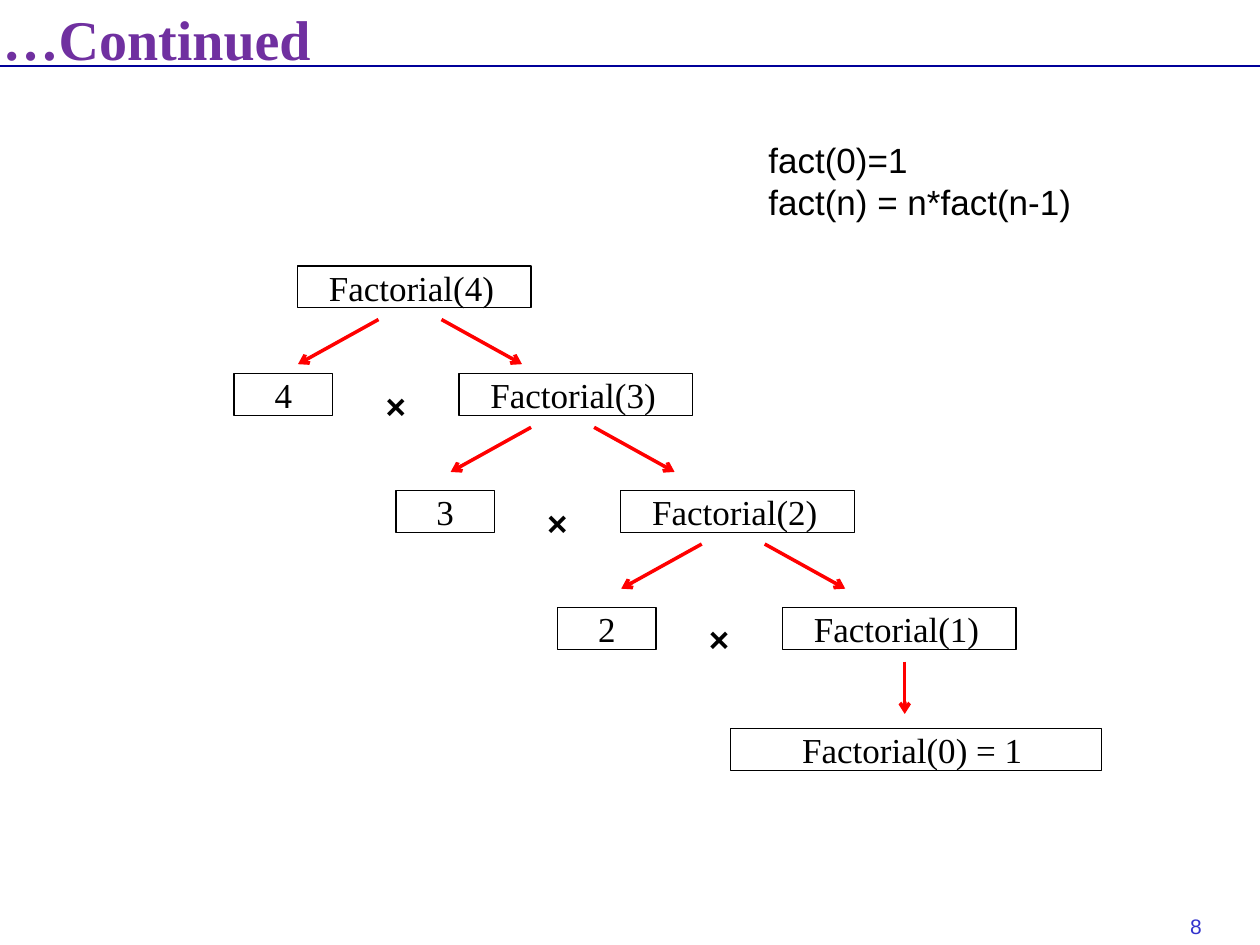
from lxml import etree
from pptx import Presentation
from pptx.dml.color import RGBColor
from pptx.enum import shapes, text
from pptx.oxml import ns
from pptx.util import Pt

COLORS = {
    "title": "7030A0",
    "rule": "000099",
    "number": "3333CC",
    "ink": "000000",
    "arrow": "FF0000",
}
SERIF = "Times New Roman"
SANS = "Arial"
BOX_HEIGHT = 23.9
CALL_WIDTH = 133.5
FACTOR_WIDTH = 56.2
FIRST_CALL_LEFT = 169.9
CALL_STEP = 92.4


def color(name):
    return RGBColor.from_string(COLORS[name])


def fill_frame(frame, lines, size, font, ink="ink", bold=False,
               align=text.PP_ALIGN.LEFT, insets=(0, 0, 0, 0), wrap=True):
    frame.auto_size = text.MSO_AUTO_SIZE.NONE
    frame.word_wrap = wrap
    frame.vertical_anchor = text.MSO_ANCHOR.TOP
    (frame.margin_left, frame.margin_top,
     frame.margin_right, frame.margin_bottom) = [Pt(inset) for inset in insets]
    for index, line in enumerate(lines):
        para = frame.add_paragraph() if index else frame.paragraphs[0]
        para.alignment = align
        span = para.add_run()
        span.text = line
        span.font.size = Pt(size)
        span.font.name = font
        span.font.bold = bold
        span.font.color.rgb = color(ink)


def add_title(page, title_text):
    title = page.shapes.title
    title.left, title.top = Pt(1.5), Pt(-12.2)
    title.width, title.height = Pt(361.4), Pt(53.3)
    fill_frame(title.text_frame, [title_text], 32, SERIF, "title", bold=True,
               insets=(0, 14.4, 0, 0))
    title.text_frame.vertical_anchor = text.MSO_ANCHOR.MIDDLE


def add_label(page, left, top, width, height, lines, size, **style):
    label = page.shapes.add_textbox(Pt(left), Pt(top), Pt(width), Pt(height))
    fill_frame(label.text_frame, lines, size, SANS, **style)


def add_box(page, left, top, width, content, indent=None):
    box = page.shapes.add_shape(shapes.MSO_SHAPE.RECTANGLE, Pt(left), Pt(top),
                                Pt(width), Pt(BOX_HEIGHT))
    box.shadow.inherit = False
    box.fill.background()
    box.line.color.rgb = color("ink")
    box.line.width = Pt(0.75)
    align = text.PP_ALIGN.CENTER if indent is None else text.PP_ALIGN.LEFT
    fill_frame(box.text_frame, [content], 20, SERIF, align=align,
               insets=(indent or 0, 0, 0, 0))


def add_line(page, start, end, ink, width, arrow=False):
    line = page.shapes.add_connector(shapes.MSO_CONNECTOR.STRAIGHT,
                                     *[Pt(value) for value in start + end])
    line.line.color.rgb = color(ink)
    line.line.width = Pt(width)
    if arrow:
        etree.SubElement(line.line._get_or_add_ln(), ns.qn("a:tailEnd"),
                         type="arrow", w="med", len="med")
    etree.SubElement(line._element.spPr, ns.qn("a:effectLst"))


def add_call(page, level, top, value):
    left = FIRST_CALL_LEFT + CALL_STEP * level
    add_box(page, left, top, CALL_WIDTH, f"Factorial({value})", indent=18)
    if level:
        add_box(page, left - 128.5, top, FACTOR_WIDTH, str(value + 1))
        add_label(page, left - 42, top + 6, 13, BOX_HEIGHT, ["×"], 20,
                  bold=True, wrap=False)


def add_branches(page, left, top):
    right = left + 128
    bottom = top + 25.5
    add_line(page, (left + 46, top), (left, bottom), "arrow", 2, arrow=True)
    add_line(page, (right - 46, top), (right, bottom), "arrow", 2, arrow=True)


def main():
    deck = Presentation()
    deck.slide_width, deck.slide_height = Pt(720), Pt(540)
    page = deck.slides.add_slide(deck.slide_layouts[5])

    add_line(page, (0, 37.6), (720, 37.6), "rule", 1)
    add_title(page, "…Continued")

    call_tops = (152, 213.6, 280.3, 347.1)
    for level, top in enumerate(call_tops):
        add_call(page, level, top, 4 - level)
    for left, top in zip((170.3, 257.5, 355), call_tops):
        add_branches(page, left, top + 30.6)

    add_box(page, 417.4, 416.3, 211.9, "Factorial(0) = 1", indent=41)
    add_line(page, (517, 378), (517, 408), "arrow", 2, arrow=True)

    padding = (7.2, 3.6, 7.2, 3.6)
    add_label(page, 432, 75.6, 197.3, 79.2,
              ["fact(0)=1", "fact(n) = n*fact(n-1)"], 20, insets=padding)
    add_label(page, 673, 518.4, 69.1, 21.6, ["8"], 12, ink="number",
              insets=padding, wrap=False)
    deck.save("out.pptx")


if __name__ == "__main__":
    main()
